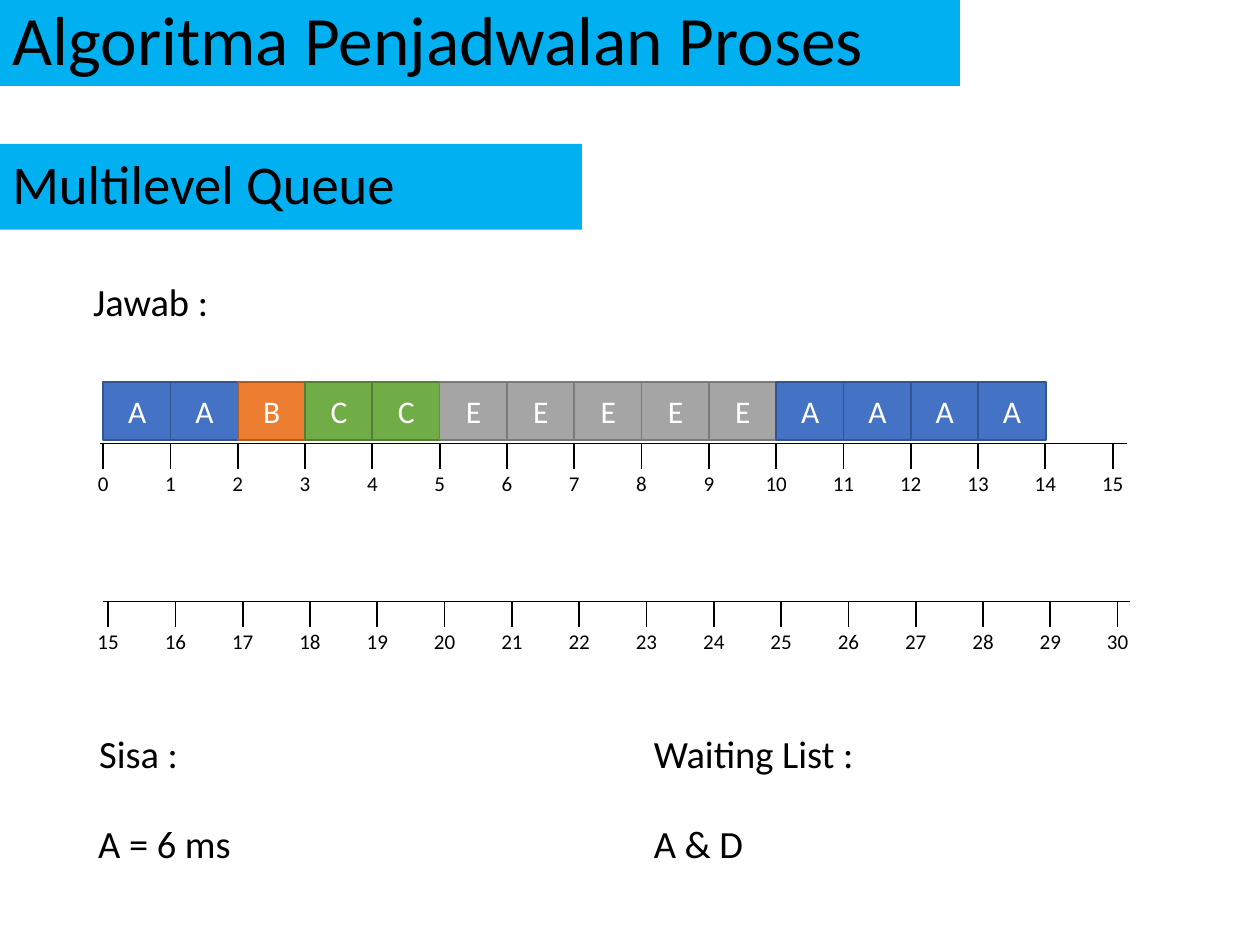
from lxml import etree
from pptx import Presentation, util as u
from pptx.dml import color
from pptx.enum import shapes, text
from pptx.oxml import ns

BLACK, WHITE, BANNER = "000000", "FFFFFF", "00B0F0"
# Process letter: fill, outline
PROCESS_COLOURS = {
    "A": ("4472C4", "325491"),
    "B": ("ED7D31", "AF5C24"),
    "C": ("70AD47", "538035"),
    "E": ("A5A5A5", "7A7A7A"),
}
UNITS = 15
STEP = 20.35 / UNITS  # width of one time unit in cm
AXIS_LENGTH = 20.7
TICK_LENGTH = 0.51
SCHEDULE_LEFT = 2.08


def rgb(value):
    return color.RGBColor.from_string(value)


def set_attributes(target, values):
    for name, value in values.items():
        setattr(target, name, value)


class SlideBuilder:
    font_name = "Calibri"

    def __init__(self, slide):
        self.slide = slide

    def add_words(self, shape, words, size, colour=BLACK,
                  align=text.PP_ALIGN.LEFT, anchor=text.MSO_ANCHOR.MIDDLE,
                  spacing=1.0):
        frame = shape.text_frame
        set_attributes(frame, {"word_wrap": True, "vertical_anchor": anchor,
                               "auto_size": text.MSO_AUTO_SIZE.NONE})
        paragraph = frame.paragraphs[0]
        set_attributes(paragraph, {"alignment": align, "line_spacing": spacing})
        run = paragraph.add_run()
        run.text = words
        set_attributes(run.font, {"name": self.font_name, "size": u.Pt(size)})
        run.font.color.rgb = rgb(colour)

    def fill(self, shape, colour):
        shape.fill.solid()
        shape.fill.fore_color.rgb = rgb(colour)

    def title(self, words, left, top, width, height):
        shape = self.slide.shapes.title
        set_attributes(shape, {"left": u.Cm(left), "top": u.Cm(top),
                               "width": u.Cm(width), "height": u.Cm(height)})
        self.fill(shape, BANNER)
        self.add_words(shape, words, 39.6, spacing=0.9)

    def box(self, words, left, top, width, height, fill, outline=None, **style):
        shape = self.slide.shapes.add_shape(
            shapes.MSO_SHAPE.RECTANGLE, *map(u.Cm, (left, top, width, height)))
        shape.shadow.inherit = False
        self.fill(shape, fill)
        if outline:
            shape.line.color.rgb = rgb(outline)
            shape.line.width = u.Pt(1)
        else:
            shape.line.fill.background()
        self.add_words(shape, words, **style)

    def label(self, words, left, top, width, height, size, align):
        shape = self.slide.shapes.add_textbox(
            *map(u.Cm, (left, top, width, height)))
        self.add_words(shape, words, size, align=align,
                       anchor=text.MSO_ANCHOR.TOP)

    def line(self, x1, y1, x2, y2, weight):
        connector = self.slide.shapes.add_connector(
            shapes.MSO_CONNECTOR.STRAIGHT, *map(u.Cm, (x1, y1, x2, y2)))
        connector.line.color.rgb = rgb(BLACK)
        connector.line.width = u.Pt(weight)
        properties = connector._element.spPr
        etree.SubElement(properties, ns.qn("a:effectLst"))

    def timeline(self, left, top, first_tick, first_number):
        self.line(left, top, left + AXIS_LENGTH, top, 0.5)
        for index in range(UNITS + 1):
            x = first_tick + index * STEP
            self.line(x, top, x, top + TICK_LENGTH, 1)
            number = str(first_number + index)
            width = 0.85 if len(number) == 1 else 1.05
            self.label(number, x - width / 2, top + 0.42, width, 0.76,
                       12, text.PP_ALIGN.CENTER)


def main():
    presentation = Presentation()
    presentation.slide_width = u.Cm(25.4)
    presentation.slide_height = u.Cm(19.05)
    slide = presentation.slides.add_slide(presentation.slide_layouts[5])
    builder = SlideBuilder(slide)

    # Banners
    builder.title("Algoritma Penjadwalan Proses", 0, 0, 19.35, 1.73)
    builder.box("Multilevel Queue", 0, 2.9, 11.73, 1.73, BANNER,
                size=31.2, spacing=0.9)

    # Time axes
    builder.timeline(2.01, 8.94, SCHEDULE_LEFT, 0)
    builder.timeline(2.08, 12.12, 2.18, 15)

    # Scheduled processes, one box per time unit
    for index, process in enumerate("AABCCEEEEEAAAA"):
        fill, outline = PROCESS_COLOURS[process]
        builder.box(process, SCHEDULE_LEFT + index * STEP, 7.7, 1.37, 1.17,
                    fill, outline, size=18, colour=WHITE,
                    align=text.PP_ALIGN.CENTER)

    # Answer heading, remaining time and waiting list
    for words, left, top, width in (
        ("Jawab :", 1.63, 5.49, 5.03),
        ("Sisa :", 1.75, 14.6, 5.03),
        ("Waiting List :", 12.93, 14.6, 5.03),
        ("A = 6 ms", 1.73, 16.41, 7.24),
        ("A & D", 12.93, 16.41, 5.03),
    ):
        builder.label(words, left, top, width, 1.19, 22, text.PP_ALIGN.JUSTIFY)

    presentation.save("out.pptx")


if __name__ == "__main__":
    main()
